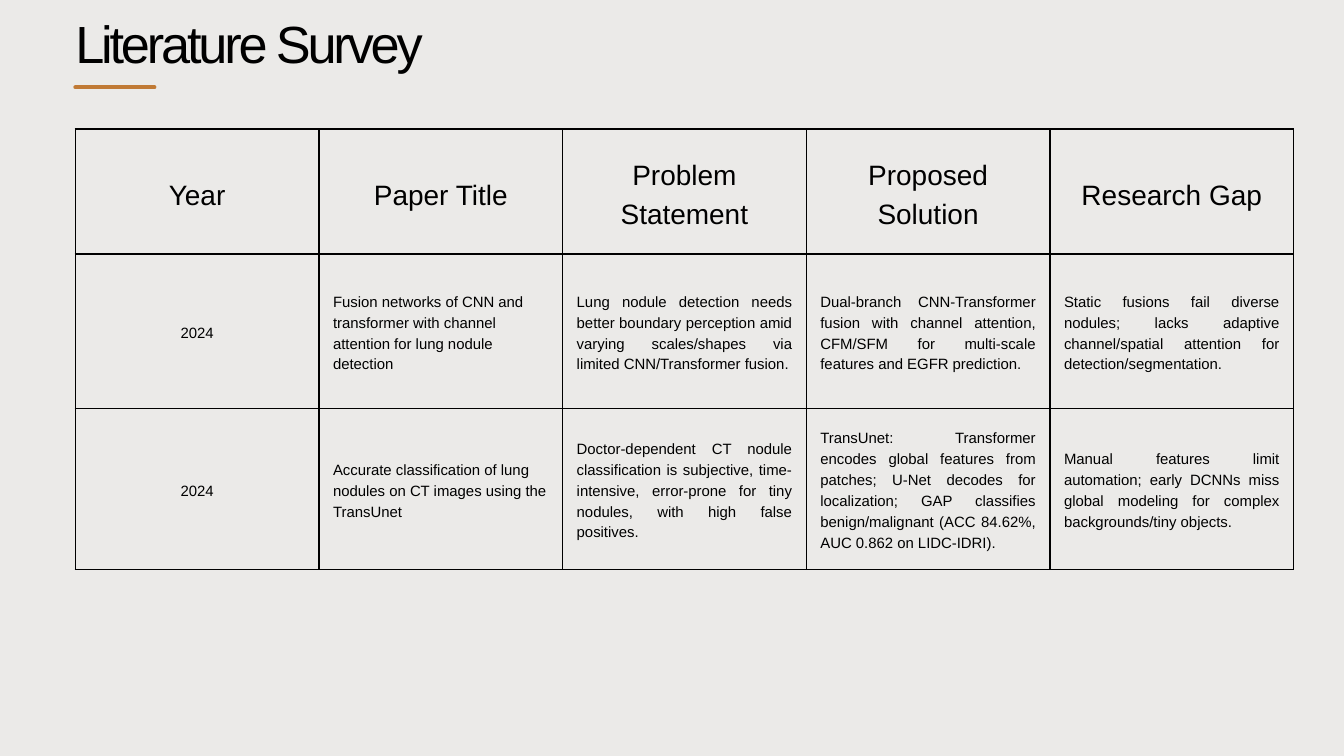
from lxml.etree import SubElement
from pptx import Presentation
from pptx.dml.color import RGBColor
from pptx.enum.shapes import MSO_CONNECTOR
from pptx.enum.text import MSO_ANCHOR, MSO_AUTO_SIZE, PP_ALIGN
from pptx.oxml.ns import qn
from pptx.util import Inches, Pt

PAPER = RGBColor(0xEB, 0xEA, 0xE8)
INK = RGBColor(0, 0, 0)
ACCENT = RGBColor(0xC0, 0x7A, 0x35)
LEFT = Inches(1.12)

HEADS = ["Year", "Paper Title", "Problem Statement", "Proposed Solution", "Research Gap"]
PAPERS = [
    ["2024",
     "Fusion networks of CNN and transformer with channel attention for lung nodule detection",
     "Lung nodule detection needs better boundary perception amid varying scales/shapes "
     "via limited CNN/Transformer fusion.",
     "Dual-branch CNN-Transformer fusion with channel attention, CFM/SFM for multi-scale "
     "features and EGFR prediction.",
     "Static fusions fail diverse nodules; lacks adaptive channel/spatial attention for "
     "detection/segmentation."],
    ["2024",
     "Accurate classification of lung nodules on CT images using the TransUnet",
     "Doctor-dependent CT nodule classification is subjective, time-intensive, error-prone "
     "for tiny nodules, with high false positives.",
     "TransUnet: Transformer encodes global features from patches; U-Net decodes for "
     "localization; GAP classifies benign/malignant (ACC 84.62%, AUC 0.862 on LIDC-IDRI).",
     "Manual features limit automation; early DCNNs miss global modeling for complex "
     "backgrounds/tiny objects."],
]
ROWS = [HEADS] + PAPERS
HEIGHTS = [1.86, 2.3, 2.39]
ALIGNS = [PP_ALIGN.CENTER, PP_ALIGN.LEFT] + [PP_ALIGN.JUSTIFY] * 3


def style(par, size, lead, align):
    par.alignment = align
    par.line_spacing = Pt(lead)
    for run in par.runs:
        run.font.name = "Arial"
        run.font.size = Pt(size)
        run.font.color.rgb = INK


def add_borders(cell):
    props = cell._tc.get_or_add_tcPr()
    for side in ("a:lnL", "a:lnR", "a:lnT", "a:lnB"):
        edge = SubElement(props, qn(side), w=str(Pt(1.5)))
        fill = SubElement(edge, qn("a:solidFill"))
        SubElement(fill, qn("a:srgbClr"), val=str(INK))


prs = Presentation()
prs.slide_width = Inches(20)
prs.slide_height = Inches(11.25)
slide = prs.slides.add_slide(prs.slide_layouts[5])
slide.background.fill.solid()
slide.background.fill.fore_color.rgb = PAPER

# Title and the short rule under it
title = slide.shapes.title
title.left, title.top = LEFT, Inches(0.32)
title.width, title.height = Inches(6.11), Inches(0.84)
frame = title.text_frame
frame.text = "Literature Survey"
frame.auto_size = MSO_AUTO_SIZE.NONE
frame.vertical_anchor = MSO_ANCHOR.TOP
frame.margin_left = frame.margin_right = frame.margin_top = frame.margin_bottom = 0
head = frame.paragraphs[0]
style(head, 56, 56, PP_ALIGN.LEFT)
head.runs[0].font._element.set("spc", "-340")

rule = slide.shapes.add_connector(
    MSO_CONNECTOR.STRAIGHT, LEFT, Inches(1.3), Inches(2.3), Inches(1.3))
rule.line.color.rgb = ACCENT
rule.line.width = Pt(4)
rule.line._get_or_add_ln().set("cap", "rnd")
SubElement(rule._element.spPr, qn("a:effectLst"))

# Survey table
table = slide.shapes.add_table(
    len(ROWS), len(HEADS), LEFT, Inches(1.92), Inches(18.13), Inches(sum(HEIGHTS))).table
table.first_row = False
table.horz_banding = False
for row, height in zip(table.rows, HEIGHTS):
    row.height = Inches(height)

for r, texts in enumerate(ROWS):
    for c, text in enumerate(texts):
        cell = table.cell(r, c)
        cell.text_frame.text = text
        cell.vertical_anchor = MSO_ANCHOR.MIDDLE
        cell.margin_left = cell.margin_right = Inches(0.21)
        cell.margin_top = cell.margin_bottom = Inches(0.21)
        add_borders(cell)
        cell.fill.background()
        par = cell.text_frame.paragraphs[0]
        if r == 0:
            style(par, 30, 42, PP_ALIGN.CENTER)
        else:
            style(par, 16, 22.4, ALIGNS[c])

prs.save("out.pptx")
